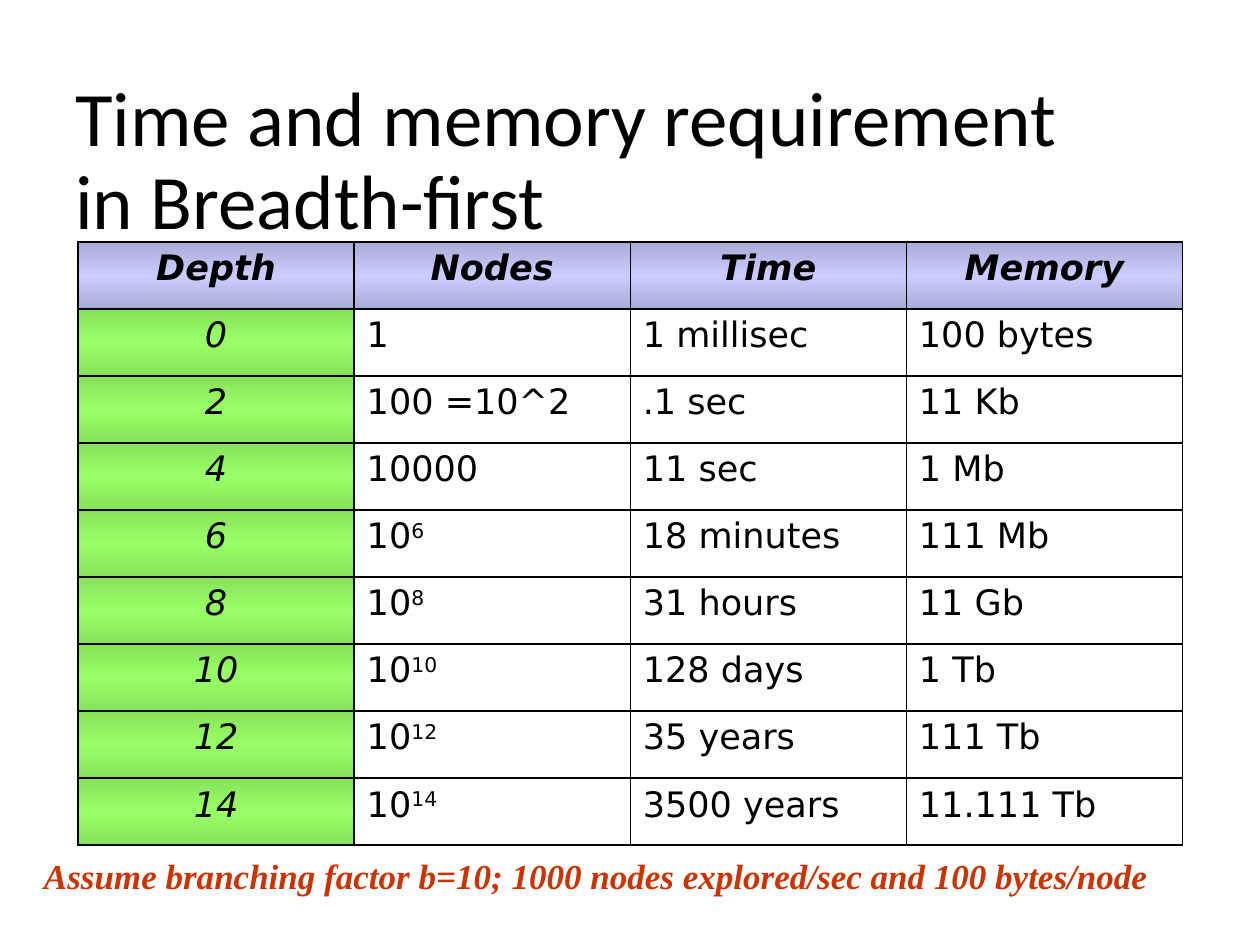
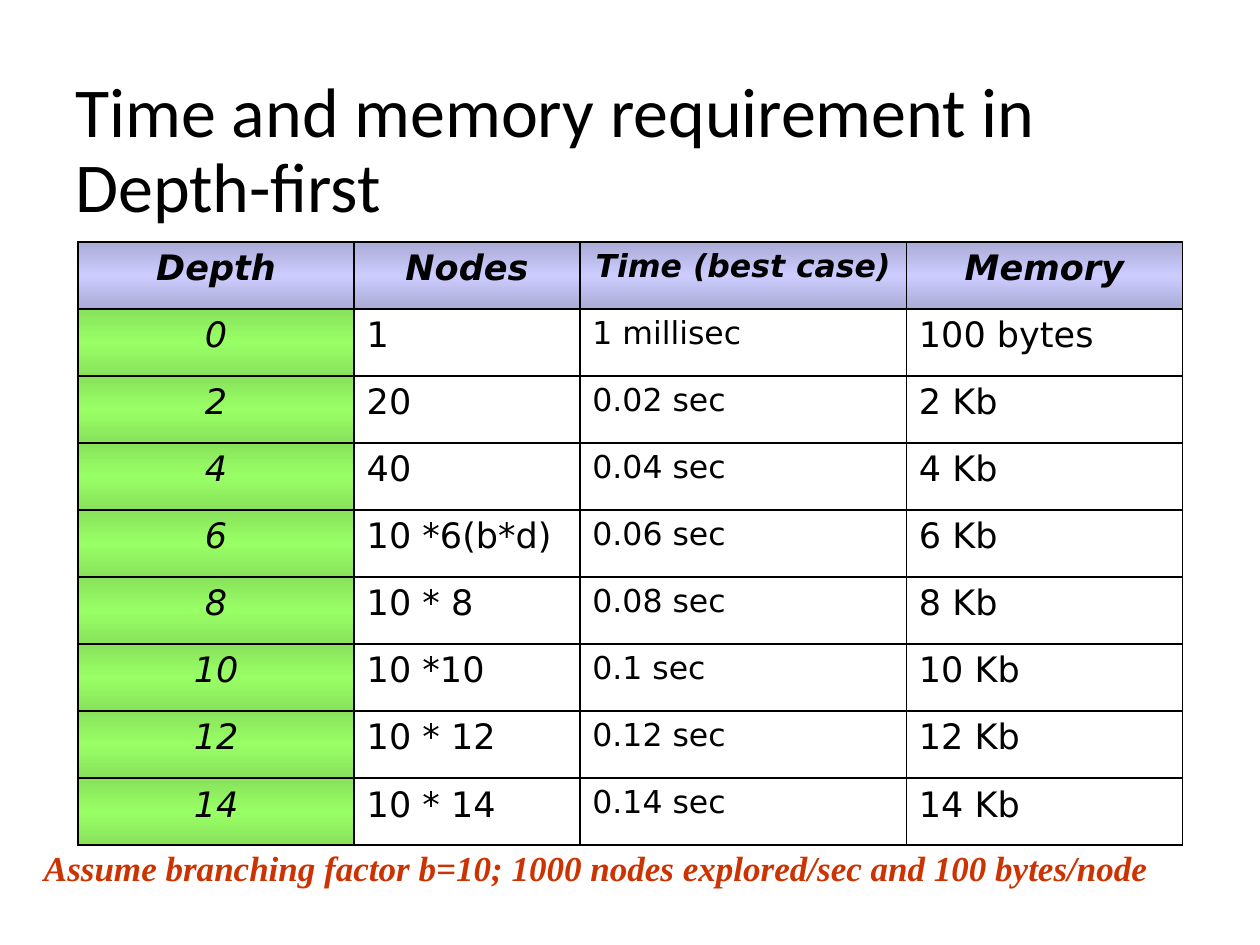
from dataclasses import dataclass

import lxml.etree
import pptx
import pptx.dml.color
import pptx.enum.text
import pptx.oxml.ns
import pptx.util

Pt = pptx.util.Pt
qn = pptx.oxml.ns.qn
ALIGN = pptx.enum.text.PP_ALIGN
ANCHOR = pptx.enum.text.MSO_ANCHOR


@dataclass(frozen=True)
class Theme:
    ink: str = "000000"
    paper: str = "FFFFFF"
    note: str = "CC3300"
    header_fill: tuple = ("ABABD6", "CCCCFF", "ABABD6")
    depth_fill: tuple = ("88E25B", "99FF66", "88E25B")
    title_font: str = "Calibri"
    table_font: str = "DejaVu Sans"
    note_font: str = "Times New Roman"
    body_size: float = 20
    compact_size: float = 18
    border_width: float = 1


class Deck:
    def __init__(self, theme):
        self.theme = theme
        self.presentation = pptx.Presentation()
        self.presentation.slide_width = Pt(720)
        self.presentation.slide_height = Pt(540)
        self.slide = None

    def add_slide(self):
        self.slide = self.presentation.slides.add_slide(self.presentation.slide_layouts[6])
        background = self.slide.background.fill
        background.solid()
        background.fore_color.rgb = pptx.dml.color.RGBColor.from_string(self.theme.paper)

    def style(self, paragraph, font, size, color, bold=False, italic=False):
        paragraph.font.name = font
        paragraph.font.size = Pt(size)
        paragraph.font.bold = bold
        paragraph.font.italic = italic
        paragraph.font.color.rgb = pptx.dml.color.RGBColor.from_string(color)

    def text_box(self, text, left, top, width, height, anchor):
        box = self.slide.shapes.add_textbox(Pt(left), Pt(top), Pt(width), Pt(height))
        frame = box.text_frame
        frame.word_wrap = True
        frame.vertical_anchor = anchor
        paragraph = frame.paragraphs[0]
        paragraph.text = text
        return paragraph

    def title(self, text, top, size):
        heading = self.text_box(text, 36, top, 612, 54, ANCHOR.MIDDLE)
        heading.line_spacing = 0.9
        self.style(heading, self.theme.title_font, size, self.theme.ink)

    def assumption(self, text, top):
        note = self.text_box(text, 18, top, 666, 31, ANCHOR.TOP)
        self.style(note, self.theme.note_font, self.theme.body_size, self.theme.note,
                   bold=True, italic=True)

    def color_element(self, parent, color):
        lxml.etree.SubElement(parent, qn("a:srgbClr"), val=color)

    def borders(self, cell):
        properties = cell._tc.get_or_add_tcPr()
        for side in ("lnL", "lnR", "lnT", "lnB"):
            line = lxml.etree.SubElement(properties, qn(f"a:{side}"),
                                         w=str(Pt(self.theme.border_width)))
            self.color_element(lxml.etree.SubElement(line, qn("a:solidFill")), self.theme.ink)

    def gradient(self, cell, colors):
        fill = lxml.etree.SubElement(cell._tc.get_or_add_tcPr(), qn("a:gradFill"))
        stops = lxml.etree.SubElement(fill, qn("a:gsLst"))
        for position, color in enumerate(colors):
            stop = lxml.etree.SubElement(stops, qn("a:gs"), pos=str(position * 50000))
            self.color_element(stop, color)
        lxml.etree.SubElement(fill, qn("a:lin"), ang="5400000", scaled="0")

    def cell(self, cell, content, size, is_header, is_depth):
        self.borders(cell)
        if is_header:
            self.gradient(cell, self.theme.header_fill)
        elif is_depth:
            self.gradient(cell, self.theme.depth_fill)
        else:
            cell.fill.background()
        paragraph = cell.text_frame.paragraphs[0]
        labelled = is_header or is_depth
        paragraph.alignment = ALIGN.CENTER if labelled else ALIGN.LEFT
        self.style(paragraph, self.theme.table_font, size, self.theme.ink,
                   bold=is_header, italic=labelled)
        base, exponent = content if isinstance(content, tuple) else (content, None)
        paragraph.add_run().text = base
        if exponent:
            power = paragraph.add_run()
            power.text = exponent
            power._r.get_or_add_rPr().set("baseline", "30000")

    def cost_table(self, rows, widths, compact_column=None):
        row_height = 38.3
        table = self.slide.shapes.add_table(
            len(rows), len(widths), Pt(44.6), Pt(138.3),
            Pt(sum(widths)), Pt(row_height * len(rows))).table
        table.first_row = False
        table.horz_banding = False
        for column, width in zip(table.columns, widths):
            column.width = Pt(width)
        for r, row in enumerate(rows):
            table.rows[r].height = Pt(row_height)
            for c, content in enumerate(row):
                compact = c == compact_column
                size = self.theme.compact_size if compact else self.theme.body_size
                self.cell(table.cell(r, c), content, size, r == 0, c == 0)


ASSUMPTION = "Assume branching factor b=10; 1000 nodes explored/sec and 100 bytes/node"

BREADTH_FIRST = [
    ("Depth", "Nodes", "Time", "Memory"),
    ("0", "1", "1 millisec", "100 bytes"),
    ("2", "100 =10^2", ".1 sec", "11 Kb"),
    ("4", "10000", "11 sec", "1 Mb"),
    ("6", ("10", "6"), "18 minutes", "111 Mb"),
    ("8", ("10", "8"), "31 hours", "11 Gb"),
    ("10", ("10", "10"), "128 days", "1 Tb"),
    ("12", ("10", "12"), "35 years", "111 Tb"),
    ("14", ("10", "14"), "3500 years", "11.111 Tb"),
]

DEPTH_FIRST = [
    ("Depth", "Nodes", "Time (best case)", "Memory"),
    ("0", "1", "1 millisec", "100 bytes"),
    ("2", "20", "0.02 sec", "2 Kb"),
    ("4", "40", "0.04 sec", "4 Kb"),
    ("6", "10 *6(b*d)", "0.06 sec", "6 Kb"),
    ("8", "10 * 8", "0.08 sec", "8 Kb"),
    ("10", "10 *10", "0.1 sec", "10 Kb"),
    ("12", "10 * 12", "0.12 sec", "12 Kb"),
    ("14", "10 * 14", "0.14 sec", "14 Kb"),
]


def main():
    deck = Deck(Theme())

    deck.add_slide()
    deck.title("Time and memory requirement in Breadth-first", top=66, size=44)
    deck.cost_table(BREADTH_FIRST, widths=[157.8] * 4)
    deck.assumption(ASSUMPTION, top=484.6)

    deck.add_slide()
    deck.title("Time and memory requirement in Depth-first", top=60, size=40)
    deck.cost_table(DEPTH_FIRST, widths=[157.8, 129, 186.6, 157.8], compact_column=2)
    deck.assumption(ASSUMPTION, top=480)

    deck.presentation.save("out.pptx")


if __name__ == "__main__":
    main()
